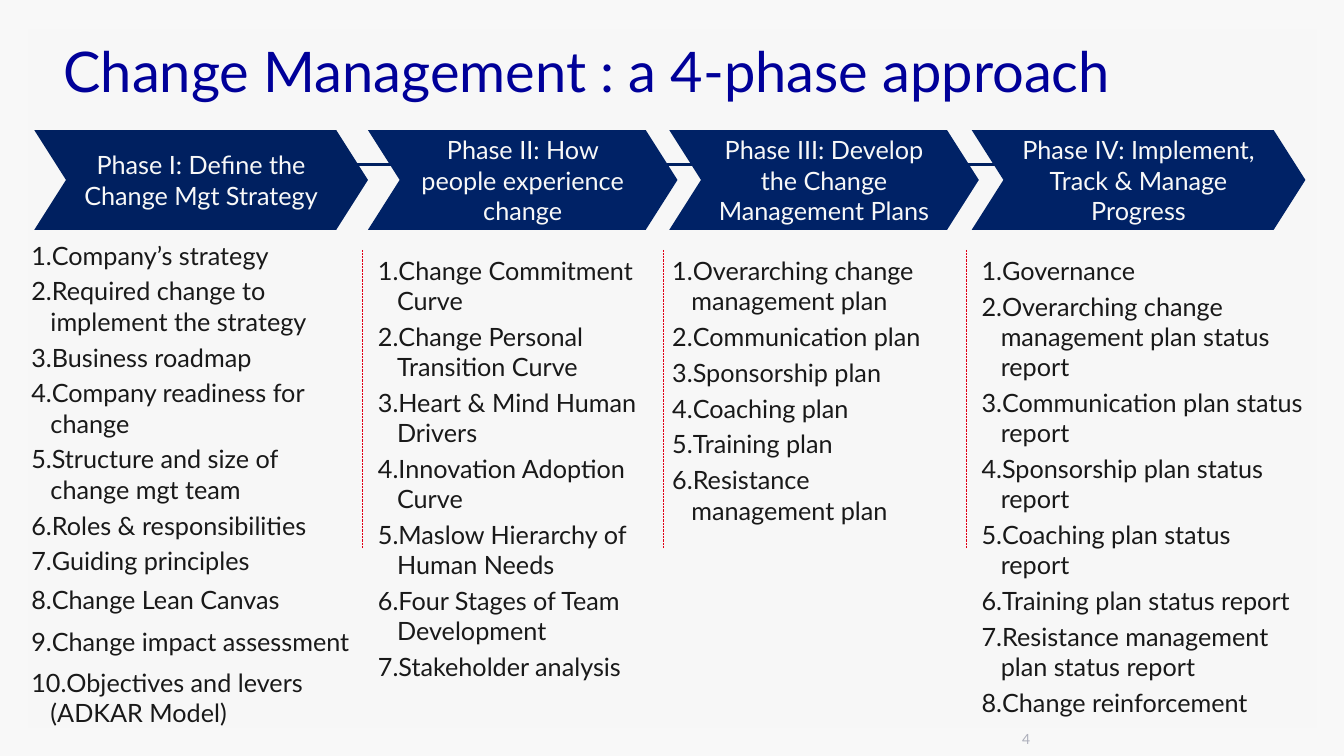
"""Build the slide showing the four phases of a change management approach."""
from dataclasses import dataclass

import lxml.etree
import pptx
import pptx.dml.color
import pptx.enum.dml
import pptx.enum.shapes
import pptx.enum.text
import pptx.oxml.ns
import pptx.shapes.connector
import pptx.slide
import pptx.text.text
import pptx.util

RGBColor = pptx.dml.color.RGBColor
BACKGROUND = RGBColor(0xF8, 0xF8, 0xF8)
PANEL = RGBColor(0xF7, 0xF7, 0xF7)
NAVY = RGBColor(0x00, 0x20, 0x60)
PHASE_BLUE = RGBColor(0x00, 0x22, 0x66)
TITLE_BLUE = RGBColor(0x00, 0x00, 0x99)
RED = RGBColor(0xE0, 0x00, 0x16)
INK = RGBColor(0x19, 0x19, 0x19)
GREY = RGBColor(0xAD, 0xAF, 0xBB)

SLIDE_WIDTH = pptx.util.Inches(13.33)
SLIDE_HEIGHT = pptx.util.Inches(7.5)
FONT = "Lato"
HANGING_INDENT = pptx.util.Inches(0.19)
DEFAULT_INSETS = (0.1, 0.05, 0.1, 0.05)
HEADER_TOP, HEADER_HEIGHT = 17.2, 13.2
DIVIDER_TOP, DIVIDER_BOTTOM, DIVIDER_GAP = 33.07, 72.4, 0.42


@dataclass(frozen=True)
class Box:
    """Hold a rectangle in percent of the slide's width and height."""
    left: float
    top: float
    width: float
    height: float

    def lengths(self) -> tuple[int, int, int, int]:
        """Return the rectangle as slide lengths."""
        return (across(self.left), down(self.top), across(self.width), down(self.height))


@dataclass(frozen=True)
class Phase:
    """Hold a phase header and its numbered steps."""
    heading: str
    left: float
    width: float
    fill: RGBColor
    steps_box: Box
    steps: tuple[str, ...]
    left_inset: float = 0.1
    loose_from: int = 99


PHASES = (
    Phase("Phase I: Define the Change Mgt Strategy", 2.55, 24.83, NAVY,
          Box(2.33, 31.07, 24.83, 70.53),
          ("Company’s strategy", "Required change to implement the strategy",
           "Business roadmap", "Company readiness for change",
           "Structure and size of change mgt team", "Roles & responsibilities",
           "Guiding principles", "Change Lean Canvas", "Change impact assessment",
           "Objectives and levers (ADKAR Model)"), left_inset=0, loose_from=7),
    Phase("Phase II: How people experience change", 27.38, 23.03, PHASE_BLUE,
          Box(27.38, 33.07, 22.2, 68),
          ("Change Commitment Curve", "Change Personal Transition Curve",
           "Heart & Mind Human Drivers", "Innovation Adoption Curve",
           "Maslow Hierarchy of Human Needs", "Four Stages of Team Development",
           "Stakeholder analysis")),
    Phase("Phase III: Develop the Change Management Plans", 49.8, 23.03, PHASE_BLUE,
          Box(49.28, 33.07, 22.2, 37.33),
          ("Overarching change management plan", "Communication plan",
           "Sponsorship plan", "Coaching plan", "Training plan",
           "Resistance management plan")),
    Phase("Phase IV: Implement, Track & Manage Progress", 72.3, 24.83, PHASE_BLUE,
          Box(72.3, 33.07, 25.5, 63.07),
          ("Governance", "Overarching change management plan status report",
           "Communication plan status report", "Sponsorship plan status report",
           "Coaching plan status report", "Training plan status report",
           "Resistance management plan status report", "Change reinforcement")),
)


def across(percent: float) -> int:
    """Turn a share of the slide's width into a length."""
    return round(SLIDE_WIDTH * percent / 100)


def down(percent: float) -> int:
    """Turn a share of the slide's height into a length."""
    return round(SLIDE_HEIGHT * percent / 100)


def write(frame: pptx.text.text.TextFrame, *lines: str, size: float = 18,
          color: RGBColor = INK, spacing: float = 0, centred: bool = False,
          middle: bool = True, numbered: bool = False, loose_from: int = 99,
          insets: tuple[float, float, float, float] = DEFAULT_INSETS) -> None:
    """Write one paragraph per line in the given format."""
    frame.word_wrap = True
    anchors = pptx.enum.text.MSO_ANCHOR
    frame.vertical_anchor = anchors.MIDDLE if middle else anchors.TOP
    (frame.margin_left, frame.margin_top,
     frame.margin_right, frame.margin_bottom) = map(pptx.util.Inches, insets)
    for index, line in enumerate(lines):
        paragraph = frame.add_paragraph() if index else frame.paragraphs[0]
        alignments = pptx.enum.text.PP_ALIGN
        paragraph.alignment = alignments.CENTER if centred else alignments.LEFT
        gap = spacing * 2 if index >= loose_from else spacing
        paragraph.space_before = paragraph.space_after = pptx.util.Pt(gap)
        run = paragraph.add_run()
        run.text = line
        run.font.name = FONT
        run.font.size = pptx.util.Pt(size)
        run.font.color.rgb = color
        if numbered:
            properties = paragraph._p.get_or_add_pPr()
            properties.set("marL", str(HANGING_INDENT))
            properties.set("indent", str(-HANGING_INDENT))
            lxml.etree.SubElement(properties, pptx.oxml.ns.qn("a:buFont"), typeface="+mj-lt")
            lxml.etree.SubElement(properties, pptx.oxml.ns.qn("a:buAutoNum"),
                                  type="arabicPeriod")


def add_filled(slide: pptx.slide.Slide, preset: pptx.enum.shapes.MSO_SHAPE, box: Box,
               fill: RGBColor) -> pptx.text.text.TextFrame:
    """Draw a flat shape without an outline and return its text frame."""
    shape = slide.shapes.add_shape(preset, *box.lengths())
    shape.shadow.inherit = False
    shape.fill.solid()
    shape.fill.fore_color.rgb = fill
    shape.line.fill.background()
    if preset == pptx.enum.shapes.MSO_SHAPE.CHEVRON:
        shape.adjustments[0] = 0.318
    return shape.text_frame


def add_text_area(slide: pptx.slide.Slide, box: Box) -> pptx.text.text.TextFrame:
    """Add a text box and return its text frame."""
    return slide.shapes.add_textbox(*box.lengths()).text_frame


def add_line(slide: pptx.slide.Slide, start: tuple[float, float], end: tuple[float, float],
             color: RGBColor, width: float) -> pptx.shapes.connector.Connector:
    """Draw a straight line between two points given in percent."""
    line = slide.shapes.add_connector(
        pptx.enum.shapes.MSO_CONNECTOR.STRAIGHT,
        across(start[0]), down(start[1]), across(end[0]), down(end[1]))
    line.line.color.rgb = color
    line.line.width = pptx.util.Pt(width)
    lxml.etree.SubElement(line._element.spPr, pptx.oxml.ns.qn("a:effectLst"))
    return line


def add_phase(slide: pptx.slide.Slide, phase: Phase) -> None:
    """Draw a phase header and the numbered steps below it."""
    header = add_filled(slide, pptx.enum.shapes.MSO_SHAPE.CHEVRON,
                        Box(phase.left, HEADER_TOP, phase.width, HEADER_HEIGHT), phase.fill)
    write(header, phase.heading, color=BACKGROUND, spacing=6, centred=True,
          insets=(0.08, 0.05, 0.08, 0.05))
    steps = add_text_area(slide, phase.steps_box)
    write(steps, *phase.steps, spacing=2, middle=False, numbered=True,
          loose_from=phase.loose_from, insets=(phase.left_inset, 0.05, 0.1, 0.05))
    steps.auto_size = pptx.enum.text.MSO_AUTO_SIZE.SHAPE_TO_FIT_TEXT


def main() -> None:
    """Build and save the slide."""
    deck = pptx.Presentation()
    deck.slide_width, deck.slide_height = SLIDE_WIDTH, SLIDE_HEIGHT
    slide = deck.slides.add_slide(deck.slide_layouts[6])
    slide.background.fill.solid()
    slide.background.fill.fore_color.rgb = BACKGROUND

    add_filled(slide, pptx.enum.shapes.MSO_SHAPE.RECTANGLE,
               Box(2.1, 3.87, 95.87, 92.4), PANEL)
    add_line(slide, (4.95, 21.73), (95.05, 21.73), NAVY, 2)
    write(add_text_area(slide, Box(3.98, 1.33, 90.85, 15.87)),
          "Change Management : a 4-phase approach", size=40, color=TITLE_BLUE)
    write(add_text_area(slide, Box(75.32, 96.67, 22.5, 2.8)), "4", size=10, color=GREY,
          insets=(0.1, 0, 0, 0.05))
    for phase in PHASES:
        add_phase(slide, phase)
    for phase in PHASES[1:]:
        x = phase.left - DIVIDER_GAP
        divider = add_line(slide, (x, DIVIDER_TOP), (x, DIVIDER_BOTTOM), RED, 0.5)
        divider.line.dash_style = pptx.enum.dml.MSO_LINE.ROUND_DOT
    deck.save("out.pptx")


if __name__ == "__main__":
    main()
